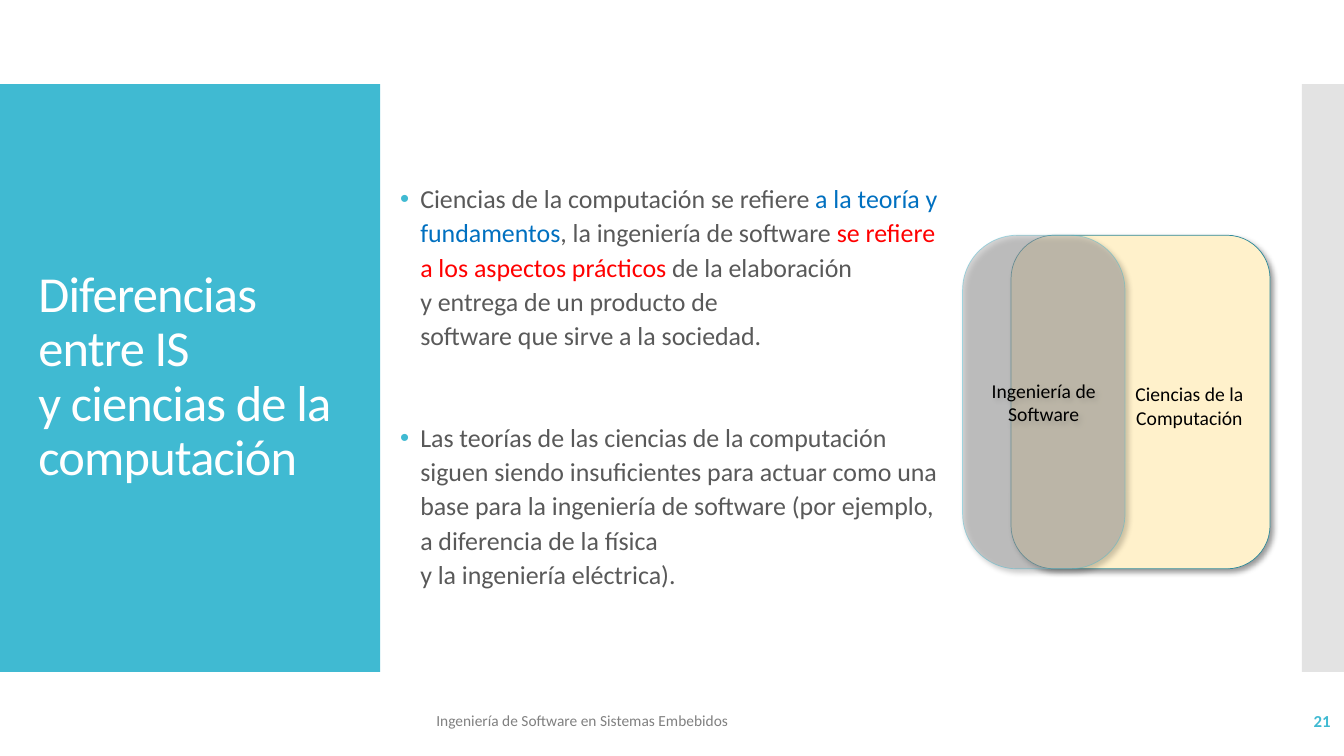
from dataclasses import dataclass

from lxml.etree import SubElement
from pptx import Presentation
from pptx.dml.color import RGBColor
from pptx.enum.shapes import MSO_SHAPE
from pptx.enum.text import MSO_ANCHOR, MSO_AUTO_SIZE, PP_ALIGN
from pptx.oxml.ns import qn
from pptx.util import Pt


@dataclass(frozen=True)
class Theme:
    font: str = "Calibri"
    accent: str = "40BAD2"
    sidebar: str = "C8C8C8"
    white: str = "FFFFFF"
    black: str = "000000"
    text: str = "595959"
    theory: str = "0070C0"
    practice: str = "FF0000"
    footer: str = "808080"
    science_fill: str = "FFF1CB"
    science_line: str = "2F8A9B"
    engineering_fill: str = "ACACAC"
    title_size: float = 36
    body_size: float = 18.5
    label_size: float = 14
    number_size: float = 12
    footer_size: float = 11


class Page:
    def __init__(self, presentation, theme):
        self.theme = theme
        self.slide = presentation.slides.add_slide(presentation.slide_layouts[1])

    def style(self, run, size, color, bold=False):
        run.font.name = self.theme.font
        run.font.size = Pt(size)
        run.font.bold = bold
        run.font.color.rgb = RGBColor.from_string(color)

    def place(self, shape, box):
        shape.left, shape.top, shape.width, shape.height = map(Pt, box)
        frame = shape.text_frame
        frame.auto_size = MSO_AUTO_SIZE.NONE
        frame.word_wrap = True
        frame.vertical_anchor = MSO_ANCHOR.MIDDLE
        return frame

    def fill_text(self, frame, text, size, color, align=PP_ALIGN.LEFT, bold=False):
        frame.text = text
        for paragraph in frame.paragraphs:
            paragraph.alignment = align
            for run in paragraph.runs:
                self.style(run, size, color, bold)

    def title(self, text, box):
        frame = self.place(self.slide.shapes.title, box)
        self.fill_text(frame, text, self.theme.title_size, self.theme.white)
        heading = frame.paragraphs[0]
        heading.line_spacing = 0.9
        for run in heading.runs:
            run.font._element.set("spc", "-60")

    def bullets(self, items, box, gap, top, bottom):
        frame = self.place(self.slide.placeholders[1], box)
        frame.margin_top, frame.margin_bottom = Pt(top), Pt(bottom)
        for index, pieces in enumerate(items):
            paragraph = frame.add_paragraph() if index else frame.paragraphs[0]
            properties = paragraph._p.get_or_add_pPr()
            properties.set("marL", str(Pt(14.4)))
            properties.set("indent", str(-Pt(14.4)))
            bullet_color = SubElement(properties, qn("a:buClr"))
            SubElement(bullet_color, qn("a:srgbClr"), val=self.theme.accent)
            SubElement(properties, qn("a:buFont"), typeface="Arial")
            SubElement(properties, qn("a:buChar"), char="•")
            paragraph.alignment = PP_ALIGN.LEFT
            paragraph.line_spacing = 1.1
            paragraph.space_before = Pt(gap if index else 0)
            paragraph.space_after = Pt(0)
            for text, color in pieces:
                for number, line in enumerate(text.split("\n")):
                    if number:
                        paragraph.add_line_break()
                    run = paragraph.add_run()
                    run.text = line
                    self.style(run, self.theme.body_size, color)

    def label(self, text, box, size, color, align=PP_ALIGN.LEFT, bold=False, shapes=None):
        shapes = shapes or self.slide.shapes
        frame = self.place(shapes.add_textbox(0, 0, 0, 0), box)
        self.fill_text(frame, text, size, color, align, bold)
        return frame

    def panel(self, box, fill, opacity=100, kind=MSO_SHAPE.RECTANGLE, shapes=None):
        shapes = shapes or self.slide.shapes
        panel = shapes.add_shape(kind, *map(Pt, box))
        panel.shadow.inherit = False
        panel.fill.solid()
        panel.fill.fore_color.rgb = RGBColor.from_string(fill)
        panel.line.fill.background()
        self.fade(panel.fill, opacity)
        return panel

    def fade(self, fill, opacity):
        if opacity < 100:
            color = fill._xPr.find(qn("a:solidFill"))[0]
            SubElement(color, qn("a:alpha"), val=str(opacity * 1000))

    def field(self, shapes, box, fill, line, corner, opacity=100, line_opacity=100):
        area = self.panel(box, fill, opacity, MSO_SHAPE.ROUNDED_RECTANGLE, shapes)
        area.adjustments[0] = corner
        area.line.color.rgb = RGBColor.from_string(line)
        area.line.width = Pt(0.5)
        self.fade(area.line.fill, line_opacity)
        effects = area._element.spPr.find(qn("a:effectLst"))
        shadow = SubElement(effects, qn("a:outerShdw"), blurRad=str(Pt(4)),
                            dist=str(Pt(3)), dir=str(45 * 60000), rotWithShape="0")
        shadow_color = SubElement(shadow, qn("a:srgbClr"), val=self.theme.black)
        SubElement(shadow_color, qn("a:alpha"), val="40000")
        return area


def main():
    presentation = Presentation()
    presentation.slide_width, presentation.slide_height = Pt(960), Pt(540)
    theme = Theme()
    page = Page(presentation, theme)

    # Side bands, behind the placeholders
    bands = [page.panel((0, 60, 271.5, 420), theme.accent),
             page.panel((930, 60, 30, 420), theme.sidebar, 50)]
    for position, band in enumerate(bands, start=2):
        page.slide.shapes._spTree.insert(position, band._element)

    # Title and comparison
    page.title("Diferencias entre IS\vy ciencias de la computación",
               (20.2, 88.6, 231.8, 362.2))
    comparison = [
        [("Ciencias de la computación se refiere ", theme.text),
         ("a la teoría y fundamentos", theme.theory),
         (", la ingeniería de software ", theme.text),
         ("se refiere a los aspectos prácticos", theme.practice),
         (" de la elaboración\ny entrega de un producto de\n"
          "software que sirve a la sociedad.", theme.text)],
        [("Las teorías de las ciencias de la computación siguen siendo "
          "insuficientes para actuar como una base para la ingeniería de "
          "software (por ejemplo, a diferencia de la física\n"
          "y la ingeniería eléctrica).", theme.text)],
    ]
    page.bullets(comparison, (278.6, 108.7, 403.2, 356.4), gap=48.5, top=15.6, bottom=40)

    # Overlapping disciplines
    disciplines = page.slide.shapes.add_group_shape().shapes
    page.field(disciplines, (722.2, 168, 185, 238.3), theme.science_fill,
               theme.science_line, 0.167)
    science = page.label("Ciencias de la\nComputación", (803.5, 269.3, 92.2, 41),
                         theme.label_size, theme.black, PP_ALIGN.CENTER, shapes=disciplines)
    science.word_wrap = False
    engineering = page.field(disciplines, (687.6, 168, 116, 238.3), theme.engineering_fill,
                             theme.accent, 0.337, opacity=50, line_opacity=43)
    engineering.text_frame.word_wrap = True
    engineering.text_frame.vertical_anchor = MSO_ANCHOR.MIDDLE
    page.fill_text(engineering.text_frame, "Ingeniería de Software", theme.label_size,
                   theme.black, PP_ALIGN.CENTER)

    # Footer and page number
    page.label("Ingeniería de Software en Sistemas Embebidos", (304.6, 500.4, 465, 28.8),
               theme.footer_size, theme.footer)
    page.label("21", (837.4, 500.4, 120.2, 28.8), theme.number_size, theme.accent,
               PP_ALIGN.RIGHT, bold=True)

    presentation.save("out.pptx")


if __name__ == "__main__":
    main()
